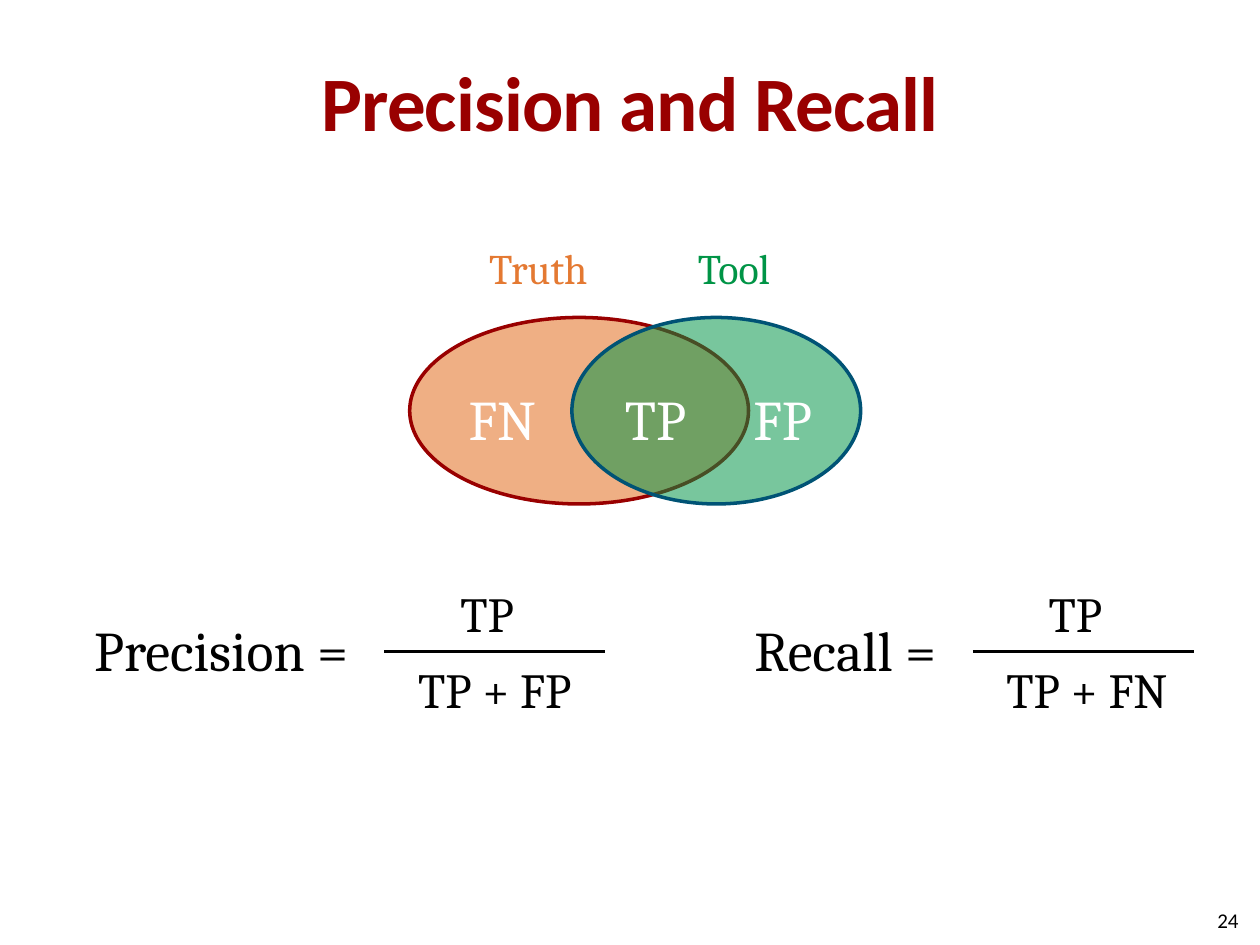
from dataclasses import dataclass
from lxml.etree import SubElement as Sub
from pptx import Presentation as Deck
from pptx.dml.color import RGBColor as RGB
from pptx.enum.shapes import MSO_CONNECTOR as Link, MSO_SHAPE as Form
from pptx.enum.text import MSO_ANCHOR as Anchor, MSO_AUTO_SIZE as Auto, PP_ALIGN as Align
from pptx.oxml.ns import qn
from pptx.util import Cm, Pt


@dataclass(frozen=True)
class Theme:
    head: str = "Calibri"
    body: str = "Cambria"
    black: str = "000000"
    white: str = "FFFFFF"
    red: str = "990000"
    peach: str = "EFAF84"
    orange: str = "E47932"
    green: str = "009446"
    blue: str = "005375"
    title: int = 44
    large: int = 32
    term: int = 28
    name: int = 24
    small: int = 12


look = Theme()


def write(frame, text, size=look.large, font=look.body, color=look.black,
          bold=False, align=Align.LEFT, anchor=Anchor.TOP, pad=(0, 0),
          wrap=False, space=None):
    frame.word_wrap = wrap
    frame.auto_size = Auto.NONE if wrap else Auto.SHAPE_TO_FIT_TEXT
    frame.vertical_anchor = anchor
    frame.margin_left = frame.margin_right = Cm(pad[0])
    frame.margin_top = frame.margin_bottom = Cm(pad[1])
    para = frame.paragraphs[0]
    para.alignment = align
    run = para.add_run()
    run.text = text
    run.font.size = Pt(size)
    run.font.name = font
    run.font.bold = bold
    run.font.color.rgb = RGB.from_string(color)
    if space is not None:
        run.font._element.set("spc", str(space))


def label(shapes, text, box, **style):
    item = shapes.add_textbox(*map(Cm, box))
    write(item.text_frame, text, **style)


def oval(shapes, box, fill, edge, alpha=None):
    item = shapes.add_shape(Form.OVAL, *map(Cm, box))
    item.shadow.inherit = False
    item.fill.solid()
    item.fill.fore_color.rgb = RGB.from_string(fill)
    item.line.color.rgb = RGB.from_string(edge)
    item.line.width = Pt(2)
    if alpha:
        tone = item.fill._xPr.find(qn("a:solidFill"))[0]
        Sub(tone, qn("a:alpha"), val=str(alpha * 1000))


def rule(shapes, left, top, width):
    line = shapes.add_connector(Link.STRAIGHT, Cm(left), Cm(top),
                                Cm(left + width), Cm(top))
    line.line.color.rgb = RGB.from_string(look.black)
    line.line.width = Pt(1.5)
    Sub(line._element.spPr, qn("a:effectLst"))


def ratio(shapes, name, start, width, bar, below, span):
    top = 13.13
    rule(shapes, bar, top, 4.45)
    label(shapes, name, (start, top - 0.73, width, 1.37))
    term = dict(size=look.term, pad=(0.25, 0.13))
    label(shapes, "TP", (bar + 1.28, top - 1.5, 1.68, 1.45), **term)
    label(shapes, below, (bar + 0.43, top + 0.03, span, 1.45), **term)


def venn(shapes):
    oval(shapes, (8.26, 6.4, 6.83, 3.76), look.peach, look.red)
    oval(shapes, (11.53, 6.4, 5.82, 3.76), look.green, look.blue, 53)
    for text, left, width in (("TP", 12.6, 1.57), ("FN", 9.45, 1.65),
                              ("FP", 15.19, 1.5)):
        label(shapes, text, (left, 7.75, width, 1.68), color=look.white)
    for text, left, width, color in (("Tool", 14.07, 1.65, look.green),
                                     ("Truth", 9.86, 2.11, look.orange)):
        label(shapes, text, (left, 4.88, width, 1.02), size=look.name, color=color)


def main():
    deck = Deck()
    deck.slide_width, deck.slide_height = Cm(25.4), Cm(19.05)
    slide = deck.slides.add_slide(deck.slide_layouts[5])
    shapes = slide.shapes
    title = shapes.title
    title.left, title.top, title.width, title.height = map(Cm, (1.27, 0.43, 22.86, 3.18))
    write(title.text_frame, "Precision and Recall", size=look.title, font=look.head,
          color=look.red, bold=True, align=Align.CENTER, anchor=Anchor.MIDDLE,
          pad=(0, 0.13), wrap=True, space=-50)
    label(shapes, "24", (19.05, 18.03, 5.92, 1.02), size=look.small, font=look.head,
          align=Align.RIGHT, anchor=Anchor.MIDDLE, wrap=True)
    ratio(shapes, "Precision =", 1.9, 5.44, 7.75, "TP + FP", 3.76)
    ratio(shapes, "Recall =", 15.21, 3.84, 19.61, "TP + FN", 3.89)
    venn(shapes.add_group_shape().shapes)
    deck.save("out.pptx")


main()
